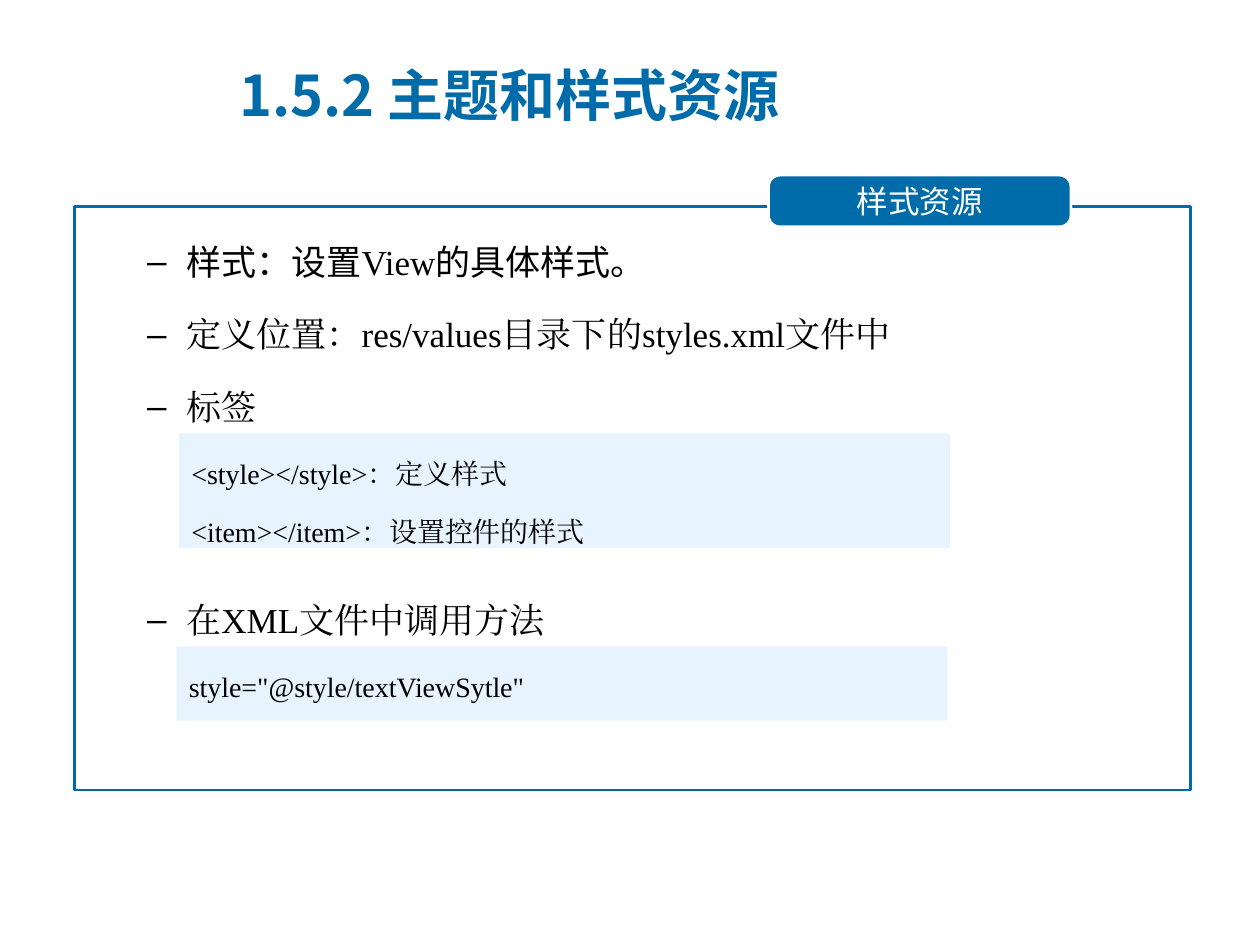
from dataclasses import dataclass

from lxml import etree
from pptx import Presentation
from pptx.dml.color import RGBColor
from pptx.enum.shapes import MSO_SHAPE
from pptx.enum.text import MSO_ANCHOR, PP_ALIGN
from pptx.oxml.ns import qn
from pptx.util import Inches, Pt

RECT = MSO_SHAPE.RECTANGLE
ROUND = MSO_SHAPE.ROUNDED_RECTANGLE
TOP, MID = MSO_ANCHOR.TOP, MSO_ANCHOR.MIDDLE
LEFT, MIDDLE = PP_ALIGN.LEFT, PP_ALIGN.CENTER
WIDE, HIGH = 10, 7.5
BLUE, PALE, WHITE, BLACK = "006BA9", "E7F4FF", "FFFFFF", "000000"
SANS, SERIF, HAN = "Arial", "Times New Roman", "Noto Sans CJK SC"
GAP = 0.28
PITCH = 2


@dataclass
class Area:
    x: float
    y: float
    w: float
    h: float

    def place(self) -> list:
        return [Inches(self.x * WIDE), Inches(self.y * HIGH),
                Inches(self.w * WIDE), Inches(self.h * HIGH)]


@dataclass
class Style:
    size: float
    color: str = BLACK
    bold: bool = False
    lines: float = 1
    dash: bool = False
    align: PP_ALIGN = LEFT
    anchor: MSO_ANCHOR = TOP


@dataclass
class Word:
    text: str
    font: str = SERIF


@dataclass
class Line:
    words: list[Word]
    skip: int = 0


def paint(color: str) -> RGBColor:
    return RGBColor.from_string(color)


def add_dash(para) -> None:
    props = para._p.get_or_add_pPr()
    props.set("marL", str(Inches(0.81)))
    props.set("indent", str(Inches(-0.31)))
    etree.SubElement(props, qn("a:buFont"), typeface=SANS)
    etree.SubElement(props, qn("a:buChar"), char="–")


def add_run(para, word: Word, style: Style) -> None:
    run = para.add_run()
    run.text = word.text
    font = run.font
    font.size = Pt(style.size)
    font.bold = style.bold
    font.color.rgb = paint(style.color)
    font.name = word.font
    etree.SubElement(run._r.get_or_add_rPr(), qn("a:ea"), typeface=word.font)


def write(shape, lines: list[Line], style: Style) -> None:
    frame = shape.text_frame
    frame.word_wrap = True
    frame.vertical_anchor = style.anchor
    for row, line in enumerate(lines):
        para = frame.add_paragraph() if row else frame.paragraphs[0]
        if style.dash:
            add_dash(para)
        para.alignment = style.align
        para.line_spacing = style.lines
        if row:
            para.space_before = Pt(style.size * (GAP + PITCH * line.skip))
        for word in line.words:
            add_run(para, word, style)


def add_text(slide, area: Area, lines: list[Line], style: Style) -> None:
    write(slide.shapes.add_textbox(*area.place()), lines, style)


def add_box(slide, area: Area, kind=RECT, fill: str = "", edge: str = ""):
    shape = slide.shapes.add_shape(kind, *area.place())
    shape.shadow.inherit = False
    if fill:
        shape.fill.solid()
        shape.fill.fore_color.rgb = paint(fill)
    else:
        shape.fill.background()
    if edge:
        shape.line.color.rgb = paint(edge)
        shape.line.width = Pt(1.5)
    else:
        shape.line.fill.background()
    return shape


POINTS = [
    Line([Word("样式：设置", SANS), Word("View"), Word("的具体样式。", SANS)]),
    Line([Word("定义位置：res/values目录下的styles.xml文件中")]),
    Line([Word("标签")]),
    Line([Word("在XML文件中调用方法")], skip=2),
]
CODES = [
    (Area(0.142, 3.44 / HIGH, 0.612, 0.91 / HIGH),
     [Line([Word("<style></style>：定义样式")]),
      Line([Word("<item></item>：设置控件的样式")])]),
    (Area(0.14, 5.13 / HIGH, 0.612, 0.59 / HIGH),
     [Line([Word('style="@style/textViewSytle"')])]),
]


def main() -> None:
    deck = Presentation()
    deck.slide_width, deck.slide_height = Inches(WIDE), Inches(HIGH)
    slide = deck.slides.add_slide(deck.slide_layouts[6])

    add_text(slide, Area(0.057, 1.69 / HIGH, 0.872, 1.48 / HIGH), POINTS,
             Style(20, lines=1.5, dash=True))
    add_box(slide, Area(0.059, 1.64 / HIGH, 0.886, 4.63 / HIGH), edge=BLUE)

    tab = add_box(slide, Area(0.61, 1.39 / HIGH, 0.24, 0.41 / HIGH),
                  ROUND, BLUE, WHITE)
    tab.adjustments[0] = 0.22
    write(tab, [Line([Word("样式资源", HAN)])],
          Style(18, WHITE, align=MIDDLE, anchor=MID))

    add_text(slide, Area(0.18, 0.44 / HIGH, 0.793, 0.61 / HIGH),
             [Line([Word("1.5.2 主题和样式资源", HAN)])],
             Style(32, BLUE, True, anchor=MID))

    for area, lines in CODES:
        write(add_box(slide, area, fill=PALE), lines, Style(16, lines=1.5))

    deck.save("out.pptx")


if __name__ == "__main__":
    main()
